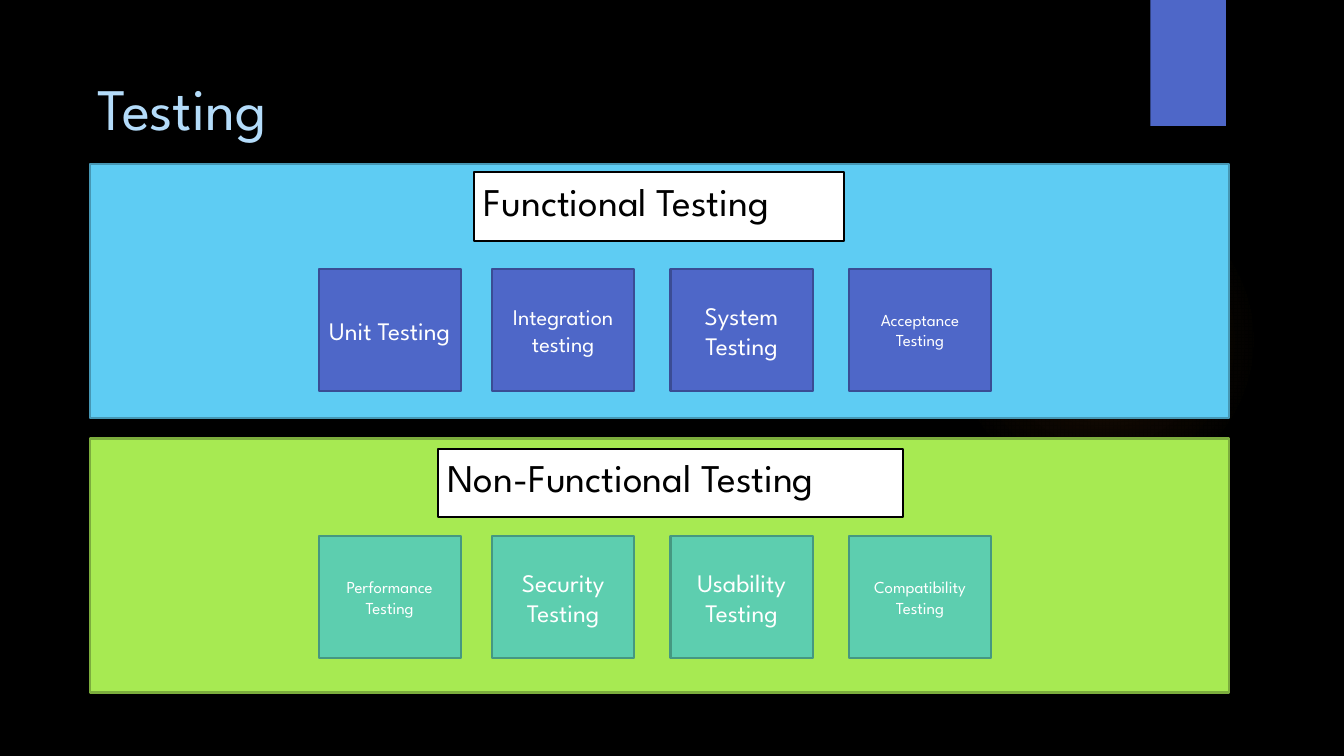
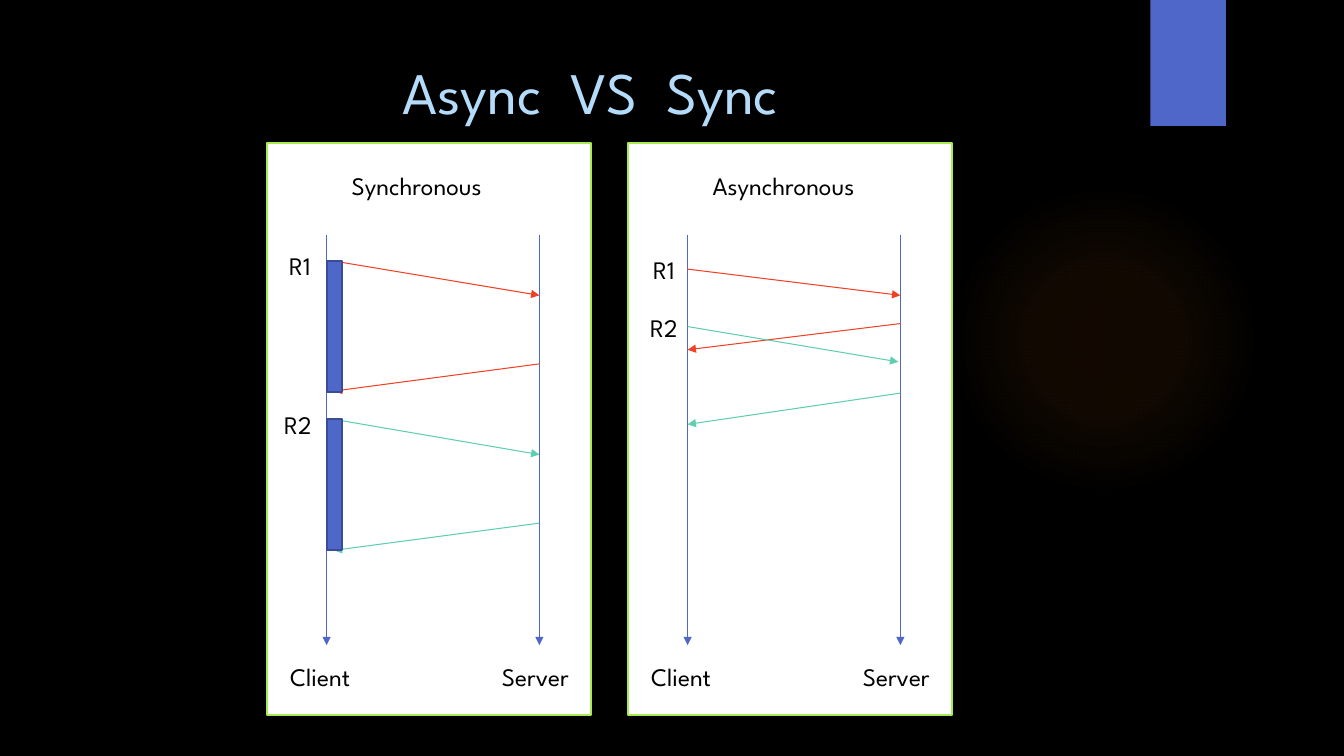
from dataclasses import dataclass

from lxml import etree
from pptx import Presentation
from pptx import util as u
from pptx.dml.color import RGBColor
from pptx.enum import shapes, text
from pptx.oxml import parse_xml
from pptx.oxml.ns import nsdecls, qn

FONT = "League Spartan"
HUES = {
    "black": "000000", "white": "FFFFFF", "title": "B4DCFA",
    "blue": "4E67C8", "navy": "3A4C94", "sky": "5ECCF3", "steel": "4697B4",
    "lime": "A7EA52", "olive": "7CAD3D", "teal": "5DCEAF", "pine": "459881",
    "red": "F14124", "glow": "FF8021",
}
LEFT, MID = text.PP_ALIGN.LEFT, text.PP_ALIGN.CENTER
TOP, HALF = text.MSO_ANCHOR.TOP, text.MSO_ANCHOR.MIDDLE
RECT, OVAL = shapes.MSO_SHAPE.RECTANGLE, shapes.MSO_SHAPE.OVAL


@dataclass
class Box:
    x: float
    y: float
    w: float
    h: float

    def inches(self) -> list:
        return [u.Inches(n) for n in (self.x, self.y, self.w, self.h)]


@dataclass
class Band:
    top: float
    fill: str
    edge: str
    head: str
    label: Box
    row: float
    tile: str
    rim: str
    tests: list  # (name, size)


@dataclass
class Arrow:
    x1: float
    y1: float
    x2: float
    y2: float
    hue: str


@dataclass
class Panel:
    dx: float
    name: str
    width: float
    calls: list
    marks: list  # (label, x, y)
    waits: list  # tops of the blocked spans


def color(name: str) -> RGBColor:
    return RGBColor.from_string(HUES[name])


def write(shape, words: str, size: float, hue: str, align=LEFT, anchor=TOP, wrap=True) -> None:
    frame = shape.text_frame
    frame.text = words
    frame.word_wrap = wrap
    fit = text.MSO_AUTO_SIZE
    frame.auto_size = fit.NONE if wrap else fit.SHAPE_TO_FIT_TEXT
    frame.vertical_anchor = anchor
    para = frame.paragraphs[0]
    para.alignment = align
    para.font.name = FONT
    para.font.size = u.Pt(size)
    para.font.color.rgb = color(hue)


def block(slide, box: Box, fill: str, edge: str = "", kind=RECT):
    shape = slide.shapes.add_shape(kind, *box.inches())
    shape.shadow.inherit = False
    shape.fill.solid()
    shape.fill.fore_color.rgb = color(fill)
    if edge:
        shape.line.color.rgb = color(edge)
        shape.line.width = u.Pt(1.5)
    else:
        shape.line.fill.background()
    return shape


def note(slide, words: str, x: float, y: float, w: float) -> None:
    box = slide.shapes.add_textbox(*Box(x, y, w, 0.4).inches())
    write(box, words, 18, "black", wrap=False)


def arrow(slide, a: Arrow, dx: float = 0) -> None:
    ends = [u.Inches(n) for n in (a.x1 + dx, a.y1, a.x2 + dx, a.y2)]
    link = slide.shapes.add_connector(shapes.MSO_CONNECTOR.STRAIGHT, *ends)
    link.line.color.rgb = color(a.hue)
    link.line.width = u.Pt(0.75)
    props = link.element.spPr
    etree.SubElement(props.find(qn("a:ln")), qn("a:tailEnd"), type="triangle")
    etree.SubElement(props, qn("a:effectLst"))


def glow(slide) -> None:
    disc = block(slide, Box(9.41, 1.83, 3.08, 3.08), "glow", kind=OVAL)
    stops = "".join(
        f'<a:gs pos="{pos}000"><a:srgbClr val="{HUES["glow"]}">'
        f'<a:alpha val="{alpha}000"/></a:srgbClr></a:gs>'
        for pos, alpha in ((0, 7), (36, 6), (69, 0)))
    grad = parse_xml(
        f'<a:gradFill {nsdecls("a")}><a:gsLst>{stops}</a:gsLst><a:path path="circle">'
        '<a:fillToRect l="50000" t="50000" r="50000" b="50000"/></a:path></a:gradFill>')
    props = disc.element.spPr
    props.replace(props.find(qn("a:solidFill")), grad)


def start(deck, title: str, x: float, y: float, align):
    """Add a slide with the shared decoration and title style."""
    slide = deck.slides.add_slide(deck.slide_layouts[5])
    glow(slide)
    block(slide, Box(11.41, 0, 0.75, 1.25), "blue")
    head = slide.shapes.title
    head.left, head.top, head.width, head.height = Box(x, y, 10.29, 1.53).inches()
    write(head, title, 42, "title", align)
    return slide


def draw_band(slide, band: Band) -> None:
    block(slide, Box(0.89, band.top, 11.3, 2.52), band.fill, band.edge)
    label = block(slide, band.label, "white", "black")
    write(label, band.head, 28, "black")
    for x, (name, size) in zip(COLS, band.tests):
        tile = block(slide, Box(x, band.row, 1.41, 1.21), band.tile, band.rim)
        write(tile, name, size, "white", MID, HALF)


def draw_panel(slide, p: Panel) -> None:
    block(slide, Box(2.65 + p.dx, 1.42, 3.21, 5.67), "white", "lime")
    for x in (CLIENT, SERVER):
        arrow(slide, Arrow(x, 2.33, x, 6.4, "blue"), p.dx)
    note(slide, "Client", 2.78 + p.dx, 6.51, 0.91)
    note(slide, "Server", 4.88 + p.dx, 6.51, 0.95)
    note(slide, p.name, 3.39 + p.dx, 1.64, p.width)
    for call in p.calls:
        arrow(slide, call, p.dx)
    for top in p.waits:
        block(slide, Box(CLIENT + p.dx, top, 0.15, 1.3), "blue", "navy")
    for words, x, y in p.marks:
        note(slide, words, x + p.dx, y, 0.49)


# Content
COLS = (3.16, 4.88, 6.65, 8.42)
CLIENT, SERVER, BAR = 3.24, 5.35, 3.31

BANDS = [
    Band(1.63, "sky", "steel", "Functional Testing", Box(4.7, 1.71, 3.67, 0.68),
         2.67, "blue", "navy",
         [("Unit Testing", 18), ("Integration testing", 16),
          ("System Testing", 18), ("Acceptance Testing", 12)]),
    Band(4.35, "lime", "olive", "Non-Functional Testing", Box(4.34, 4.45, 4.62, 0.68),
         5.32, "teal", "pine",
         [("Performance Testing", 12), ("Security Testing", 18),
          ("Usability Testing", 18), ("Compatibility Testing", 12)]),
]

PANELS = [
    Panel(0, "Synchronous", 1.75,
          [Arrow(BAR, 2.59, SERVER, 2.93, "red"),
           Arrow(SERVER, 3.61, BAR, 3.88, "red"),
           Arrow(BAR, 4.16, SERVER, 4.51, "teal"),
           Arrow(SERVER, 5.19, BAR, 5.46, "teal")],
          [("R1", 2.77, 2.43), ("R2", 2.72, 4.01)], [2.59, 4.16]),
    Panel(3.58, "Asynchronous", 1.91,
          [Arrow(CLIENT, 2.67, SERVER, 2.93, "red"),
           Arrow(SERVER, 3.21, CLIENT, 3.47, "red"),
           Arrow(CLIENT, 3.24, SERVER - 0.02, 3.59, "teal"),
           Arrow(SERVER, 3.9, CLIENT, 4.21, "teal")],
          [("R1", 2.8, 2.47), ("R2", 2.77, 3.05)], []),
]

deck = Presentation()
deck.slide_width, deck.slide_height = u.Inches(13.33), u.Inches(7.5)
back = deck.slide_master.background.fill
back.solid()
back.fore_color.rgb = color("black")

# Slide 1: kinds of testing
tests = start(deck, "Testing", 0.87, 0.66, LEFT)
for band in BANDS:
    draw_band(tests, band)

# Slide 2: request timelines
flows = start(deck, "Async  VS  Sync", 0.71, 0.5, MID)
for panel in PANELS:
    draw_panel(flows, panel)

deck.save("out.pptx")
